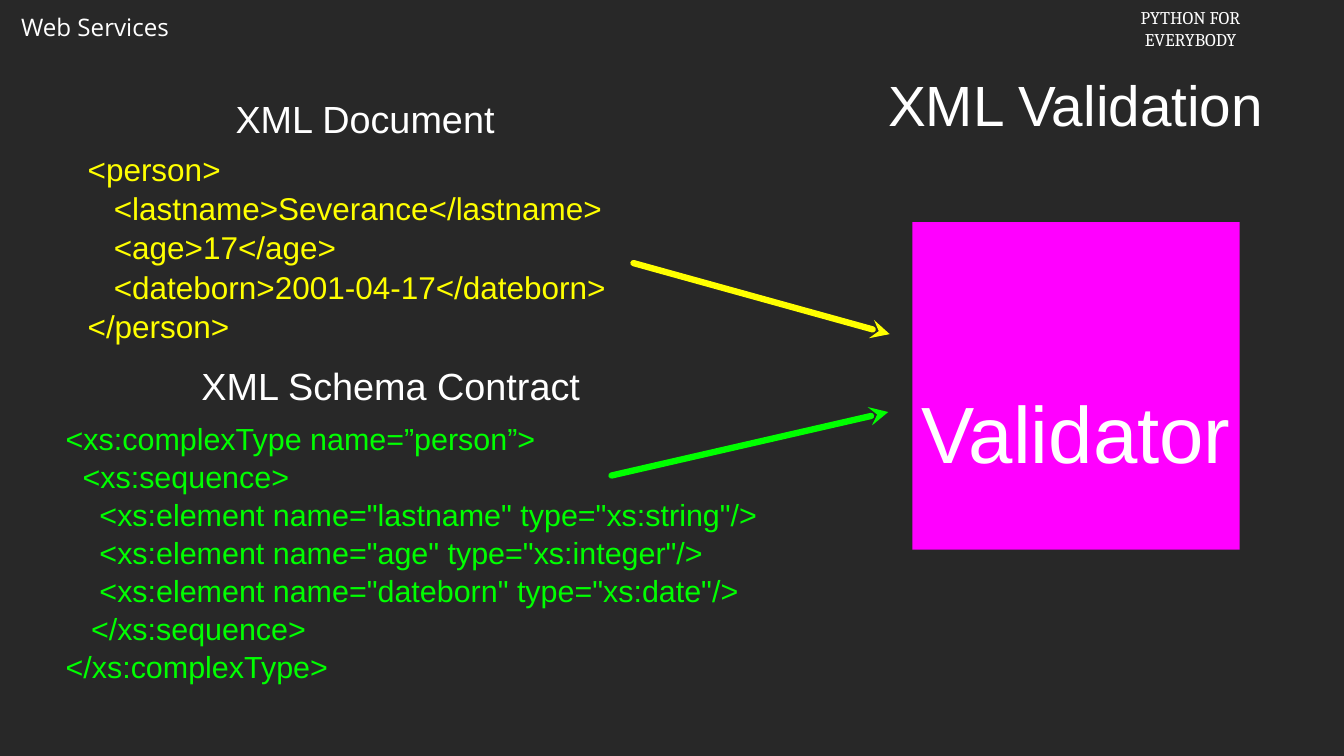
"""Build the XML Validation slide, with lengths as percent of the slide's size."""
from lxml.etree import SubElement as Sub
from pptx import Presentation
from pptx.dml.color import RGBColor
from pptx.enum.shapes import MSO_CONNECTOR as Conn, MSO_SHAPE as Kind
from pptx.enum.text import MSO_ANCHOR as Anchor, MSO_AUTO_SIZE as Auto, PP_ALIGN as Align
from pptx.oxml.ns import qn
from pptx.util import Inches, Pt

WHITE, YELLOW, GREEN, PINK, DARK = "FFFFFF", "FFFF00", "00FF00", "FF00FF", "282828"

deck = Presentation()
deck.slide_width, deck.slide_height = Inches(17.78), Inches(10)
col, row = deck.slide_width / 100, deck.slide_height / 100
slide = deck.slides.add_slide(deck.slide_layouts[6])
shapes = slide.shapes


def paint(fill, hue):
    fill.solid()
    fill.fore_color.rgb = RGBColor.from_string(hue)


def write(shape, lines, size, hue=WHITE, face="Arial", align=Align.CENTER, pitch=None):
    frame = shape.text_frame
    frame.word_wrap = True
    frame.vertical_anchor = Anchor.MIDDLE
    frame.margin_left = frame.margin_right = frame.margin_top = frame.margin_bottom = 0
    for i, line in enumerate(lines):
        para = frame.add_paragraph() if i else frame.paragraphs[0]
        para.alignment = align
        para.line_spacing = pitch
        run = para.add_run()
        run.text = line
        run.font.size, run.font.name = Pt(size), face
        paint(run.font.fill, hue)
    return frame


paint(slide.background.fill, DARK)

marks = [
    (1.01, 1.2, 12.49, 4.9, ["Web Services"], 23, "Open Sans", Align.LEFT),
    (83.69, 0.4, 9.79, 6.7, ["PYTHON FOR", "EVERYBODY"], 17, "Cambria", Align.CENTER),
]
for x, y, w, h, lines, size, face, align in marks:
    box = shapes.add_textbox(int(x * col), int(y * row), int(w * col), int(h * row))
    frame = write(box, lines, size, face=face, align=align)
    frame.word_wrap = False
    frame.auto_size = Auto.SHAPE_TO_FIT_TEXT
    frame.vertical_anchor = Anchor.TOP
    frame.margin_left = frame.margin_right = Inches(0.1)
    frame.margin_top = frame.margin_bottom = Inches(0.05)

block = shapes.add_shape(
    Kind.RECTANGLE, int(67.89 * col), int(29.4 * row), int(24.35 * col), int(43.3 * row))
block.shadow.inherit = False
paint(block.fill, PINK)
block.line.fill.background()
write(block, ["Validator"], 76).margin_top = int(12.1 * row)

person = [
    "<person>",
    "   <lastname>Severance</lastname>",
    "   <age>17</age>",
    "   <dateborn>2001-04-17</dateborn>",
    "</person>",
]
schema = [
    "<xs:complexType name=”person”>",
    "  <xs:sequence>",
    '    <xs:element name="lastname" type="xs:string"/>',
    '    <xs:element name="age" type="xs:integer"/>',
    '    <xs:element name="dateborn" type="xs:date"/>',
    "   </xs:sequence>",
    "</xs:complexType>",
]
codes = [
    (6.52, 19.9, 38.92, 25.4, person, 30, YELLOW),
    (4.89, 55.1, 54.56, 35.7, schema, 29, GREEN),
]
for x, y, w, h, lines, size, hue in codes:
    box = shapes.add_textbox(int(x * col), int(y * row), int(w * col), int(h * row))
    write(box, lines, size, hue, align=Align.LEFT, pitch=1.04)

heads = [
    (14.79, 47.6, 28.57, 6.8, "XML Schema Contract", 36),
    (14.79, 12.2, 24.75, 6.8, "XML Document", 36),
    (65.02, 8.3, 30.03, 11, "XML Validation", 54),
]
for x, y, w, h, line, size in heads:
    box = shapes.add_textbox(int(x * col), int(y * row), int(w * col), int(h * row))
    write(box, [line], size)

flows = [(66.2, 44.2, 47.13, 34.8, YELLOW), (66.09, 54.5, 45.5, 62.9, GREEN)]
for x, y, endx, endy, hue in flows:
    flow = shapes.add_connector(
        Conn.STRAIGHT, int(x * col), int(y * row), int(endx * col), int(endy * row))
    flow.line.width = Pt(6)
    paint(flow.line.fill, hue)
    line = flow.line._get_or_add_ln()
    Sub(line, qn("a:round"))
    Sub(line, qn("a:headEnd"), type="stealth")
    line.set("cap", "rnd")
    Sub(flow._element.spPr, qn("a:effectLst"))

deck.save("out.pptx")
